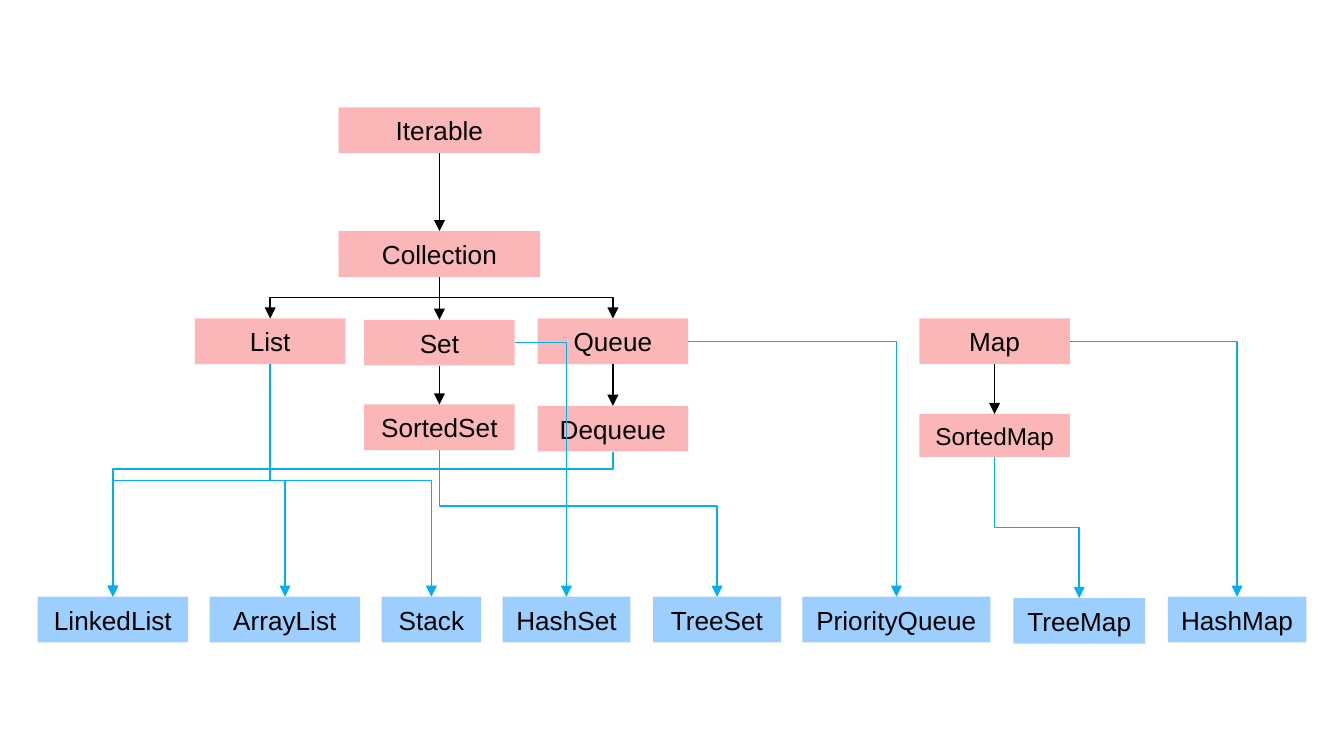
from dataclasses import dataclass

from lxml import etree
from pptx import Presentation
from pptx.dml.color import RGBColor
from pptx.enum import shapes, text
from pptx.oxml import ns
from pptx.util import Inches, Pt

TOP, LEFT, BOTTOM, RIGHT = range(4)


@dataclass(frozen=True)
class Theme:
    interface: RGBColor = RGBColor(0xFB, 0xB7, 0xB7)
    implementation: RGBColor = RGBColor(0x9C, 0xCF, 0xFE)
    extends: RGBColor = RGBColor(0, 0, 0)
    implements: RGBColor = RGBColor(0x00, 0xB0, 0xF0)
    label: RGBColor = RGBColor(0, 0, 0)
    font: str = "Arial"
    size: float = 14
    small: float = 13
    line: float = 0.75


@dataclass(frozen=True)
class Node:
    name: str
    left: float
    top: float
    width: float = 1.12
    height: float = 0.34
    size: float = Theme.size
    fill: RGBColor = Theme.interface


@dataclass(frozen=True)
class Link:
    parent: str
    child: str
    color: RGBColor = Theme.implements
    side: int = BOTTOM
    straight: bool = False
    bend: float = 0.5


INTERFACES = [
    Node("Iterable", 2.52, 0.8, 1.5),
    Node("Collection", 2.52, 1.72, 1.5),
    Node("List", 1.45, 2.37),
    Node("Map", 6.84, 2.37),
    Node("Queue", 4, 2.37),
    Node("Set", 2.71, 2.38),
    Node("SortedMap", 6.84, 3.08, height=0.32, size=Theme.small),
    Node("SortedSet", 2.71, 3.01),
    Node("Dequeue", 4, 3.02),
]

IMPLEMENTATIONS = [
    Node(name, left, top, width, fill=Theme.implementation)
    for name, left, top, width in [
        ("LinkedList", 0.28, 4.44, 1.12),
        ("ArrayList", 1.56, 4.44, 1.12),
        ("Stack", 2.84, 4.44, 0.74),
        ("HashSet", 3.74, 4.44, 0.95),
        ("TreeSet", 4.86, 4.44, 0.95),
        ("PriorityQueue", 5.97, 4.44, 1.4),
        ("TreeMap", 7.54, 4.45, 0.98),
        ("HashMap", 8.69, 4.44, 1.03),
    ]
]

LINKS = [
    Link("Iterable", "Collection", Theme.extends),
    Link("Collection", "List", Theme.extends),
    Link("Collection", "Set", Theme.extends, straight=True),
    Link("Collection", "Queue", Theme.extends),
    Link("Queue", "Dequeue", Theme.extends, straight=True),
    Link("Set", "SortedSet", Theme.extends, straight=True),
    Link("Map", "SortedMap", Theme.extends, straight=True),
    Link("Dequeue", "LinkedList", bend=0.12),
    Link("List", "LinkedList"),
    Link("List", "ArrayList"),
    Link("List", "Stack"),
    Link("Set", "HashSet", side=RIGHT),
    Link("SortedSet", "TreeSet", bend=0.38),
    Link("Queue", "PriorityQueue", side=RIGHT),
    Link("Map", "HashMap", side=RIGHT),
    Link("SortedMap", "TreeMap"),
]


def draw_node(slide, node: Node):
    box = slide.shapes.add_shape(
        shapes.MSO_SHAPE.RECTANGLE,
        Inches(node.left), Inches(node.top), Inches(node.width), Inches(node.height),
    )
    box.shadow.inherit = False
    box.fill.solid()
    box.fill.fore_color.rgb = node.fill
    box.line.fill.background()
    frame = box.text_frame
    frame.text = node.name
    frame.word_wrap = False
    frame.vertical_anchor = text.MSO_ANCHOR.MIDDLE
    label = frame.paragraphs[0]
    label.alignment = text.PP_ALIGN.CENTER
    font = label.runs[0].font
    font.name = Theme.font
    font.size = Pt(node.size)
    font.color.rgb = Theme.label
    return box


def route_elbow(arrow, link: Link) -> None:
    x1, y1, x2, y2 = arrow.begin_x, arrow.begin_y, arrow.end_x, arrow.end_y
    across, down = abs(x2 - x1), y2 - y1
    properties = arrow._element.spPr
    frame = properties.find(ns.qn("a:xfrm"))
    geometry = properties.find(ns.qn("a:prstGeom"))
    if link.side == RIGHT:
        geometry.set("prst", "bentConnector2")
        return
    arrow.width, arrow.height = down, across
    arrow.left = (x1 + x2 - down) // 2
    arrow.top = (y1 + y2 - across) // 2
    rightward = x2 > x1
    frame.set("rot", str((270 if rightward else 90) * 60000))
    frame.set("flipH", "1" if rightward else "0")
    frame.set("flipV", "0")
    guide = etree.SubElement(geometry.find(ns.qn("a:avLst")), ns.qn("a:gd"))
    guide.set("name", "adj1")
    guide.set("fmla", f"val {round(link.bend * 100000)}")


def draw_link(slide, link: Link, boxes: dict) -> None:
    kind = shapes.MSO_CONNECTOR.STRAIGHT if link.straight else shapes.MSO_CONNECTOR.ELBOW
    arrow = slide.shapes.add_connector(kind, 0, 0, 0, 0)
    arrow.begin_connect(boxes[link.parent], link.side)
    arrow.end_connect(boxes[link.child], TOP)
    if not link.straight:
        route_elbow(arrow, link)
    arrow.line.color.rgb = link.color
    arrow.line.width = Pt(Theme.line)
    properties = arrow._element.spPr
    head = etree.SubElement(properties.find(ns.qn("a:ln")), ns.qn("a:tailEnd"))
    head.set("type", "triangle")
    etree.SubElement(properties, ns.qn("a:effectLst"))


def main() -> None:
    deck = Presentation()
    deck.slide_width = Inches(10)
    deck.slide_height = deck.slide_width * 9 // 16
    slide = deck.slides.add_slide(deck.slide_layouts[6])
    boxes = {node.name: draw_node(slide, node) for node in INTERFACES + IMPLEMENTATIONS}
    for link in LINKS:
        draw_link(slide, link, boxes)
    deck.save("out.pptx")


if __name__ == "__main__":
    main()
